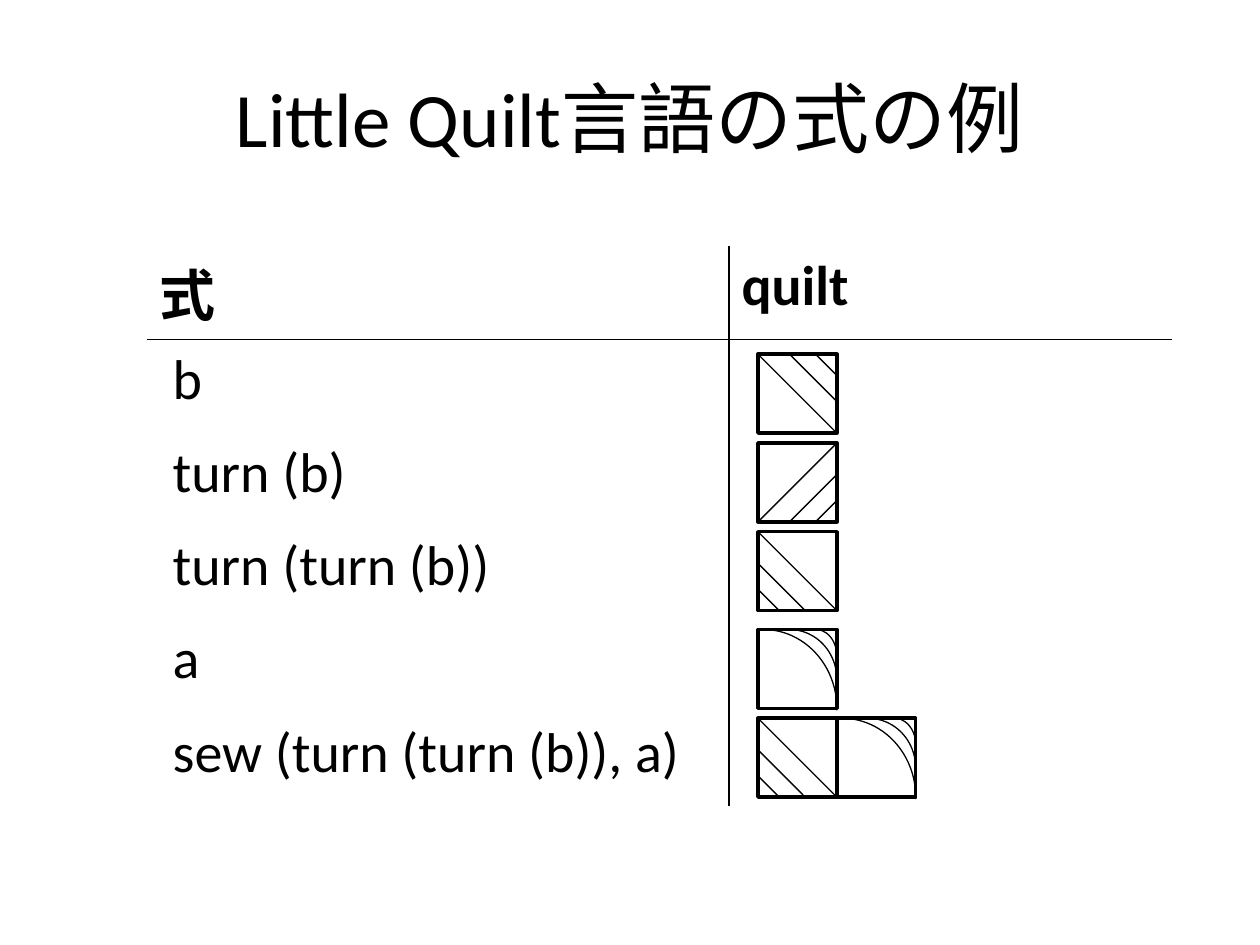
from dataclasses import dataclass

from lxml import etree
from pptx import Presentation
from pptx.dml.color import RGBColor
from pptx.enum.shapes import MSO_CONNECTOR, MSO_SHAPE
from pptx.enum.text import MSO_ANCHOR, PP_ALIGN
from pptx.oxml.ns import qn
from pptx.util import Cm, Pt

STRAIGHT = MSO_CONNECTOR.STRAIGHT
SQUARE, ARC = MSO_SHAPE.RECTANGLE, MSO_SHAPE.ARC
MIDDLE, CENTER = MSO_ANCHOR.MIDDLE, PP_ALIGN.CENTER


@dataclass(frozen=True)
class Theme:
    font: str = "Calibri"
    ink: RGBColor = RGBColor(0, 0, 0)
    paper: RGBColor = RGBColor(255, 255, 255)
    title: Pt = Pt(44)
    body: Pt = Pt(32)
    rule: Pt = Pt(1)
    outline: Pt = Pt(2)
    thread: Pt = Pt(0.75)


THEME = Theme()
TITLE = "Little Quilt言語の式の例"
HEADER = ("式", "quilt")
QUILTS = [
    ("b", 7.14, [("b", 0)]),
    ("turn (b)", 8.93, [("b", 1)]),
    ("turn (turn (b))", 10.72, [("b", 2)]),
    ("a", 12.69, [("a", 0)]),
    ("sew (turn (turn (b)), a)", 14.48, [("b", 2), ("a", 0)]),
]
STRIPE_STARTS = (0, 0.4, 0.73)
ARC_SIZES = ((1.87, 2), (1.2, 1.26), (0.53, 0.67))
ARC_ANGLES = (163.789, 0.902)
PATCH, PATCH_LEFT = 1.59, 15.28
TABLE_LEFT, TABLE_TOP, ROW_HEIGHT = 2.97, 4.95, 1.88
COLUMN_WIDTHS = (11.73, 8.92)
HEADER_INDENT, BODY_INDENT = 0.25, 0.51


def style_text(para, size, bold=False):
    font = para.font
    font.name, font.size, font.bold = THEME.font, size, bold
    font.color.rgb = THEME.ink


def style_line(shape, width):
    shape.line.color.rgb = THEME.ink
    shape.line.width = width


def set_borders(cell, ruled):
    properties = cell._tc.get_or_add_tcPr()
    for side in "LRTB":
        border = etree.SubElement(properties, qn(f"a:ln{side}"), w=str(THEME.rule))
        if side in ruled:
            fill = etree.SubElement(border, qn("a:solidFill"))
            etree.SubElement(fill, qn("a:srgbClr"), val=str(THEME.ink))
        else:
            etree.SubElement(border, qn("a:noFill"))


def add_expression_table(page):
    rows = [HEADER] + [(expression, "") for expression, _, _ in QUILTS]
    frame = page.shapes.add_table(
        len(rows), len(HEADER), Cm(TABLE_LEFT), Cm(TABLE_TOP),
        Cm(sum(COLUMN_WIDTHS)), Cm(ROW_HEIGHT * len(rows)))
    table = frame.table
    table.first_row = table.horz_banding = False
    for column, width in zip(table.columns, COLUMN_WIDTHS):
        column.width = Cm(width)
    for row_number, texts in enumerate(rows):
        table.rows[row_number].height = Cm(ROW_HEIGHT)
        for column_number, text in enumerate(texts):
            cell = table.cell(row_number, column_number)
            is_header = row_number == 0
            cell.text = text
            cell.margin_left = Cm(HEADER_INDENT if is_header else BODY_INDENT)
            style_text(cell.text_frame.paragraphs[0], THEME.body, is_header)
            horizontal = {0: "B", 1: "T"}.get(row_number, "")
            set_borders(cell, "RL"[column_number] + horizontal)
            cell.fill.background()


def add_outline(group, kind, left, top, width, height, weight):
    shape = group.shapes.add_shape(kind, Cm(left), Cm(top), Cm(width), Cm(height))
    shape.shadow.inherit = False
    shape.fill.background()
    style_line(shape, weight)
    return shape


def turn(point, times):
    x, y = point
    for _ in range(times):
        x, y = 1 - y, x
    return x, y


def add_stripes(group, left, top, turns):
    for start in STRIPE_STARTS:
        ends = [turn(point, turns) for point in ((start, 0), (1, 1 - start))]
        places = [Cm(corner + PATCH * part)
                  for end in ends for corner, part in zip((left, top), end)]
        stripe = group.shapes.add_connector(STRAIGHT, *places)
        style_line(stripe, THEME.thread)
        etree.SubElement(stripe._element.spPr, qn("a:effectLst"))


def add_arcs(group, left, top):
    for across, down in ARC_SIZES:
        arc = add_outline(group, ARC, left + PATCH * (1 - across), top,
                          PATCH * across, PATCH * down, THEME.thread)
        arc.adjustments[0], arc.adjustments[1] = ARC_ANGLES


def add_patch(page, pattern, turns, left, top):
    group = page.shapes.add_group_shape()
    add_outline(group, SQUARE, left, top, PATCH, PATCH, THEME.outline)
    if pattern == "b":
        add_stripes(group, left, top, turns)
    else:
        add_arcs(group, left, top)


def main():
    deck = Presentation()
    deck.slide_width, deck.slide_height = Cm(25.4), Cm(19.05)
    page = deck.slides.add_slide(deck.slide_layouts[5])
    page.background.fill.solid()
    page.background.fill.fore_color.rgb = THEME.paper

    title = page.shapes.title
    title.left, title.top, title.width, title.height = map(Cm, (1.27, 0.76, 22.86, 3.18))
    title.text_frame.text = TITLE
    title.text_frame.vertical_anchor = MIDDLE
    para = title.text_frame.paragraphs[0]
    para.alignment = CENTER
    style_text(para, THEME.title)

    add_expression_table(page)
    for _, top, patches in QUILTS:
        for position, (pattern, turns) in enumerate(patches):
            add_patch(page, pattern, turns, PATCH_LEFT + PATCH * position, top)
    deck.save("out.pptx")


if __name__ == "__main__":
    main()
